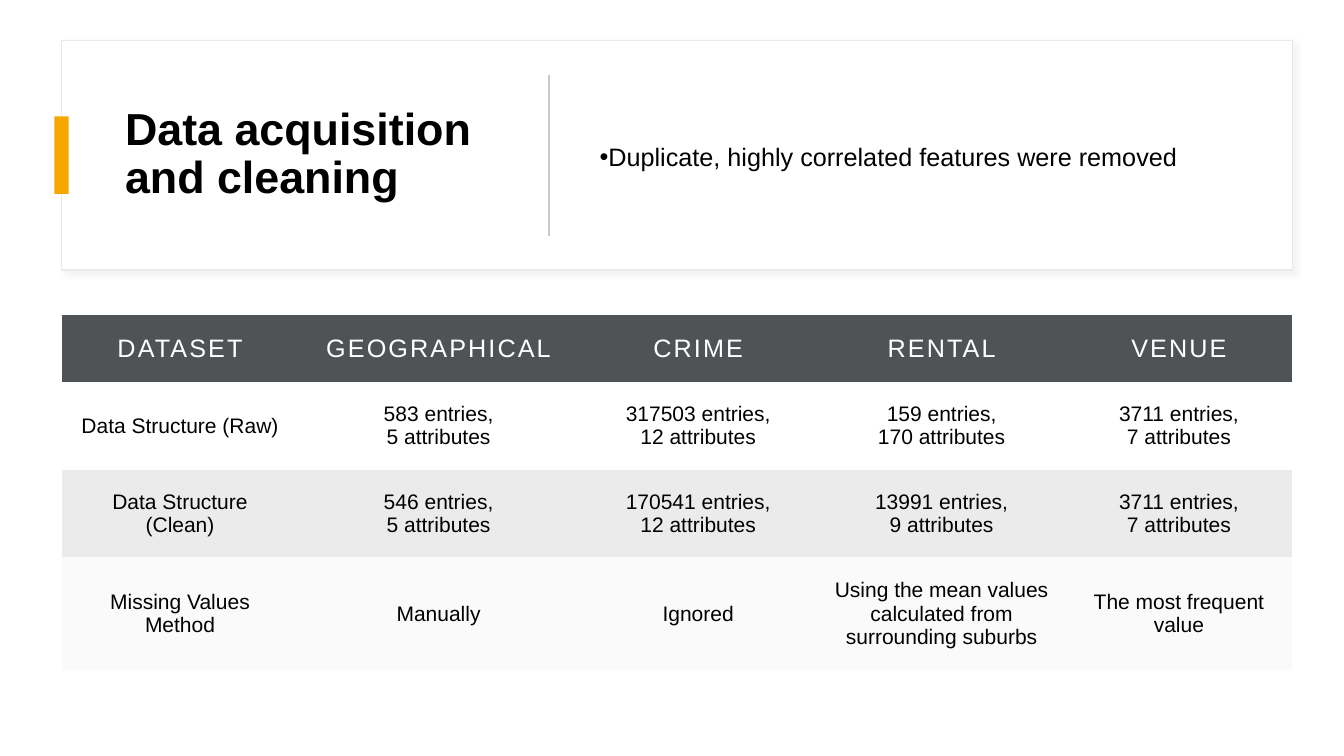
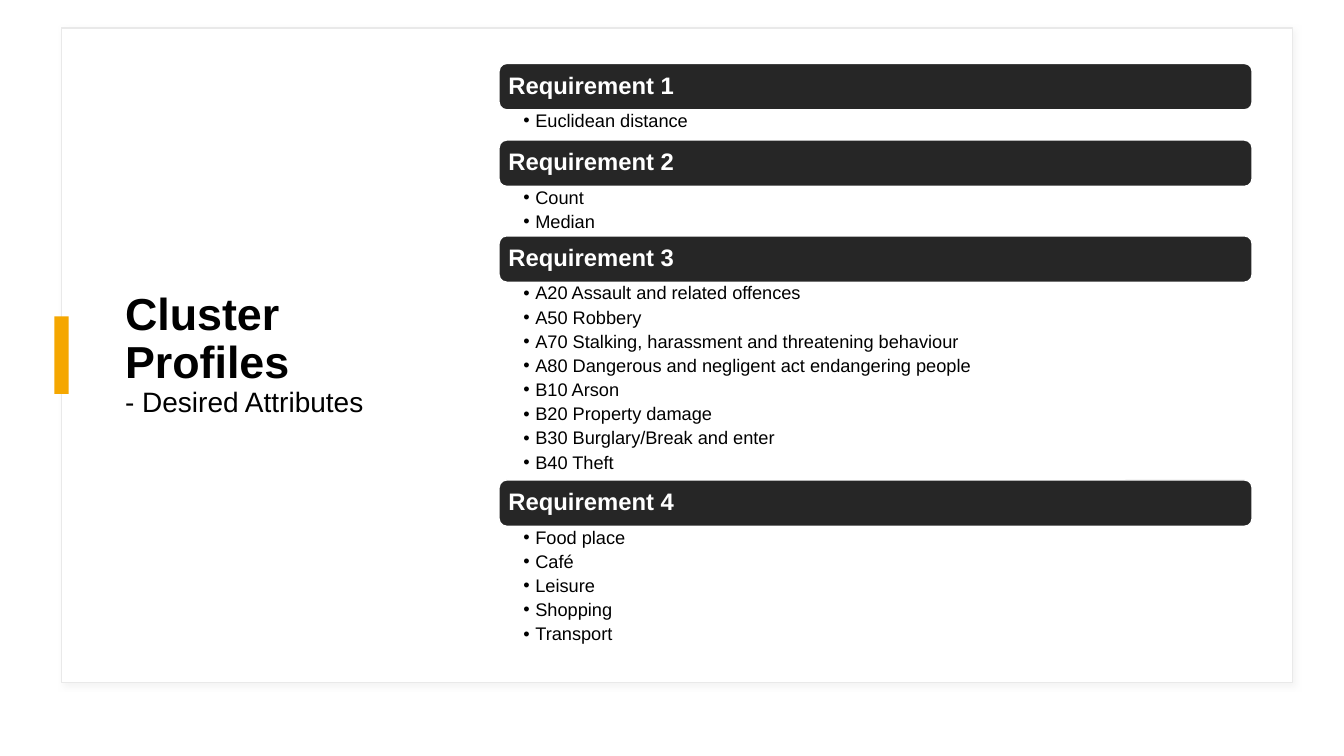
"""Build two slides: a data cleaning table and the cluster requirements."""
from dataclasses import dataclass

from lxml import etree
from pptx import Presentation
from pptx.dml.color import RGBColor
from pptx.enum.shapes import MSO_CONNECTOR, MSO_SHAPE
from pptx.enum.text import MSO_ANCHOR, MSO_AUTO_SIZE, PP_ALIGN
from pptx.oxml.ns import qn
from pptx.util import Inches, Pt

RECTANGLE = MSO_SHAPE.RECTANGLE
ROUNDED = MSO_SHAPE.ROUNDED_RECTANGLE
STRAIGHT = MSO_CONNECTOR.STRAIGHT
TOP, MIDDLE = MSO_ANCHOR.TOP, MSO_ANCHOR.MIDDLE
LEFT, CENTER = PP_ALIGN.LEFT, PP_ALIGN.CENTER
NO_AUTOFIT = MSO_AUTO_SIZE.NONE

WHITE = RGBColor(0xFF, 0xFF, 0xFF)
BLACK = RGBColor(0x00, 0x00, 0x00)
AMBER = RGBColor(0xF5, 0xA7, 0x00)
CHARCOAL = RGBColor(0x26, 0x26, 0x26)
SLATE = RGBColor(0x50, 0x53, 0x56)
OUTLINE = RGBColor(0xE9, 0xE9, 0xE9)
RULE_GRAY = RGBColor(0xC9, 0xC9, 0xC9)
BAND_GRAY = RGBColor(0xEB, 0xEB, 0xEB)
PALE_GRAY = RGBColor(0xFA, 0xFA, 0xFA)

FONT = "Arial"
SLIDE_WIDTH, SLIDE_HEIGHT = Inches(13.33), Inches(7.5)
TITLE_ONLY = 5
PLAIN_TABLE_STYLE = "{2D5ABB26-0587-4C30-8999-92F81FD0307C}"

PANEL_LEFT, PANEL_WIDTH = 4.58, 91.58
PANEL_PADDING = 3.4
TITLE_LEFT = 8.55
ACCENT_WIDTH, ACCENT_HEIGHT = 1.05, 10.27
DIVIDER_LEFT, DIVIDER_HEIGHT = 40.85, 21.33
TABLE_TOP = 41.6
COLUMN_WIDTHS = (17.63, 20.85, 17.78, 18.45, 16.87)
ROW_HEIGHTS = (8.93, 11.6, 11.6, 14.93)
ROW_FILLS = (SLATE, None, BAND_GRAY, PALE_GRAY)
CARD_LEFT, CARD_WIDTH, CARD_TOP = 37.13, 56.03, 8.4
HEADER_HEIGHT, ITEM_HEIGHT, LIST_MINIMUM = 6.13, 3.27, 4


@dataclass(frozen=True)
class Area:
    """A rectangle in percent of the slide's width and height."""
    left: float
    top: float
    width: float
    height: float

    @property
    def middle(self) -> float:
        return self.top + self.height / 2

    def box(self) -> tuple[int, int, int, int]:
        return (across(self.left), down(self.top),
                across(self.width), down(self.height))


@dataclass(frozen=True)
class Requirement:
    """A heading and the attributes listed under it."""
    heading: str
    items: tuple[str, ...]


DATASET_ROWS = (
    ("DATASET", "GEOGRAPHICAL", "CRIME", "RENTAL", "VENUE"),
    ("Data Structure (Raw)", "583 entries,\n5 attributes",
     "317503 entries,\n12 attributes", "159 entries,\n170 attributes",
     "3711 entries,\n7 attributes"),
    ("Data Structure (Clean)", "546 entries,\n5 attributes",
     "170541 entries,\n12 attributes", "13991 entries,\n9 attributes",
     "3711 entries,\n7 attributes"),
    ("Missing Values Method", "Manually", "Ignored",
     "Using the mean values calculated from surrounding suburbs",
     "The most frequent value"),
)

REQUIREMENTS = (
    Requirement("Requirement 1", ("Euclidean distance",)),
    Requirement("Requirement 2", ("Count", "Median")),
    Requirement("Requirement 3", (
        "A20 Assault and related offences",
        "A50 Robbery",
        "A70 Stalking, harassment and threatening behaviour",
        "A80 Dangerous and negligent act endangering people",
        "B10 Arson",
        "B20 Property damage",
        "B30 Burglary/Break and enter",
        "B40 Theft",
    )),
    Requirement("Requirement 4", (
        "Food place", "Café", "Leisure", "Shopping", "Transport")),
)


def across(share: float) -> int:
    return round(SLIDE_WIDTH * share / 100)


def down(share: float) -> int:
    return round(SLIDE_HEIGHT * share / 100)


def style_para(para, size, color=BLACK, bold=False, align=LEFT, spacing=1.0):
    para.alignment = align
    para.line_spacing = spacing
    para.font.name = FONT
    para.font.size = Pt(size)
    para.font.bold = bold
    para.font.color.rgb = color


def set_frame(frame, anchor, margins=(0.1, 0.05, 0.1, 0.05)):
    frame.word_wrap = True
    frame.auto_size = NO_AUTOFIT
    frame.vertical_anchor = anchor
    (frame.margin_left, frame.margin_top,
     frame.margin_right, frame.margin_bottom) = map(Inches, margins)


def add_block(page, kind, area: Area, fill: RGBColor, line=None):
    block = page.shapes.add_shape(kind, *area.box())
    block.shadow.inherit = False
    block.fill.solid()
    block.fill.fore_color.rgb = fill
    if line is None:
        block.line.fill.background()
    else:
        block.line.color.rgb = line
        block.line.width = Pt(1)
    return block


def add_soft_shadow(block):
    effects = block._element.spPr.find(qn("a:effectLst"))
    shadow = etree.SubElement(
        effects, qn("a:outerShdw"), blurRad=str(Pt(4)), dist=str(Pt(3)),
        dir="2700000", algn="tl", rotWithShape="0")
    color = etree.SubElement(shadow, qn("a:srgbClr"), val="D9D9D9")
    etree.SubElement(color, qn("a:alpha"), val="30000")


def add_bullets(page, area: Area, items, size, anchor, margins,
                left, hanging, spacing, after):
    frame = page.shapes.add_textbox(*area.box()).text_frame
    set_frame(frame, anchor, margins)
    frame.text = "\n".join(items)
    for para in frame.paragraphs:
        properties = para._p.get_or_add_pPr()
        properties.set("marL", str(Inches(left)))
        properties.set("indent", str(-Inches(hanging)))
        etree.SubElement(properties, qn("a:buFont"), typeface=FONT)
        etree.SubElement(properties, qn("a:buChar"), char="•")
        style_para(para, size, spacing=spacing)
        para.space_after = Pt(after)


def add_page(deck, panel: Area, title: str, title_width: float, subtitle=""):
    page = deck.slides.add_slide(deck.slide_layouts[TITLE_ONLY])
    add_soft_shadow(add_block(page, RECTANGLE, panel, WHITE, OUTLINE))
    accent = Area(panel.left - ACCENT_WIDTH / 2,
                  panel.middle - ACCENT_HEIGHT / 2,
                  ACCENT_WIDTH, ACCENT_HEIGHT)
    add_block(page, RECTANGLE, accent, AMBER)

    heading = page.shapes.title
    area = Area(TITLE_LEFT, panel.top + PANEL_PADDING,
                title_width, panel.height - 2 * PANEL_PADDING)
    heading.left, heading.top, heading.width, heading.height = area.box()
    page.shapes._spTree.append(heading._element)
    set_frame(heading.text_frame, MIDDLE)
    para = heading.text_frame.paragraphs[0]
    style_para(para, 32, bold=True, spacing=0.9)
    para.add_run().text = title
    if subtitle:
        para.add_line_break()
        span = para.add_run()
        span.text = subtitle
        span.font.size = Pt(20)
        span.font.bold = False
    return page


def fill_cell(cell, text: str, fill, is_header: bool):
    if fill is None:
        cell.fill.background()
    else:
        cell.fill.solid()
        cell.fill.fore_color.rgb = fill
    cell.vertical_anchor = MIDDLE
    cell.margin_left = cell.margin_right = Inches(0.17)
    cell.margin_top = cell.margin_bottom = Inches(0.17)
    cell.text_frame.text = text
    for para in cell.text_frame.paragraphs:
        style_para(para, 18 if is_header else 15,
                   WHITE if is_header else BLACK, align=CENTER)
        if is_header:
            para.runs[0]._r.get_or_add_rPr().set("spc", "150")


def add_dataset_table(page):
    area = Area(PANEL_LEFT, TABLE_TOP, sum(COLUMN_WIDTHS), sum(ROW_HEIGHTS))
    table = page.shapes.add_table(
        len(ROW_HEIGHTS), len(COLUMN_WIDTHS), *area.box()).table
    table._tbl.tblPr.find(qn("a:tableStyleId")).text = PLAIN_TABLE_STYLE
    table.horz_banding = False
    for column, width in zip(table.columns, COLUMN_WIDTHS):
        column.width = across(width)
    for index, (texts, fill) in enumerate(zip(DATASET_ROWS, ROW_FILLS)):
        table.rows[index].height = down(ROW_HEIGHTS[index])
        for cell, text in zip(table.rows[index].cells, texts):
            fill_cell(cell, text, fill, index == 0)


def add_cleaning_page(deck):
    panel = Area(PANEL_LEFT, 5.33, PANEL_WIDTH, 30.4)
    page = add_page(deck, panel, "Data acquisition and cleaning", 29.03)
    reach = DIVIDER_HEIGHT / 2
    divider = page.shapes.add_connector(
        STRAIGHT, across(DIVIDER_LEFT), down(panel.middle - reach),
        across(DIVIDER_LEFT), down(panel.middle + reach))
    divider.line.color.rgb = RULE_GRAY
    divider.line.width = Pt(1)
    etree.SubElement(divider._element.spPr, qn("a:effectLst"))
    note = Area(43.88, panel.top + PANEL_PADDING,
                49.2, panel.height - 2 * PANEL_PADDING)
    add_bullets(page, note,
                ("Duplicate, highly correlated features were removed",),
                18, MIDDLE, (0.1, 0.05, 0.1, 0.05),
                left=0, hanging=0.25, spacing=1.1, after=6)
    add_dataset_table(page)


def add_requirement(page, requirement: Requirement, top: float) -> float:
    header = add_block(page, ROUNDED,
                       Area(CARD_LEFT, top, CARD_WIDTH, HEADER_HEIGHT),
                       CHARCOAL, WHITE)
    set_frame(header.text_frame, MIDDLE, (0.07, 0.07, 0.07, 0.07))
    header.text_frame.text = requirement.heading
    style_para(header.text_frame.paragraphs[0], 17, WHITE, True, spacing=0.9)

    height = max(LIST_MINIMUM, ITEM_HEIGHT * len(requirement.items))
    add_bullets(page, Area(CARD_LEFT, top + HEADER_HEIGHT, CARD_WIDTH, height),
                requirement.items, 13, TOP, (0.24, 0.02, 0.13, 0.02),
                left=0.12, hanging=0.12, spacing=0.9, after=3.2)
    return top + HEADER_HEIGHT + height


def add_cluster_page(deck):
    panel = Area(PANEL_LEFT, 3.73, PANEL_WIDTH, 86.53)
    page = add_page(deck, panel, "Cluster Profiles", 24.53,
                    "- Desired Attributes")
    top = CARD_TOP
    for requirement in REQUIREMENTS:
        top = add_requirement(page, requirement, top)


def main():
    deck = Presentation()
    deck.slide_width, deck.slide_height = SLIDE_WIDTH, SLIDE_HEIGHT
    add_cleaning_page(deck)
    add_cluster_page(deck)
    deck.save("out.pptx")


if __name__ == "__main__":
    main()
